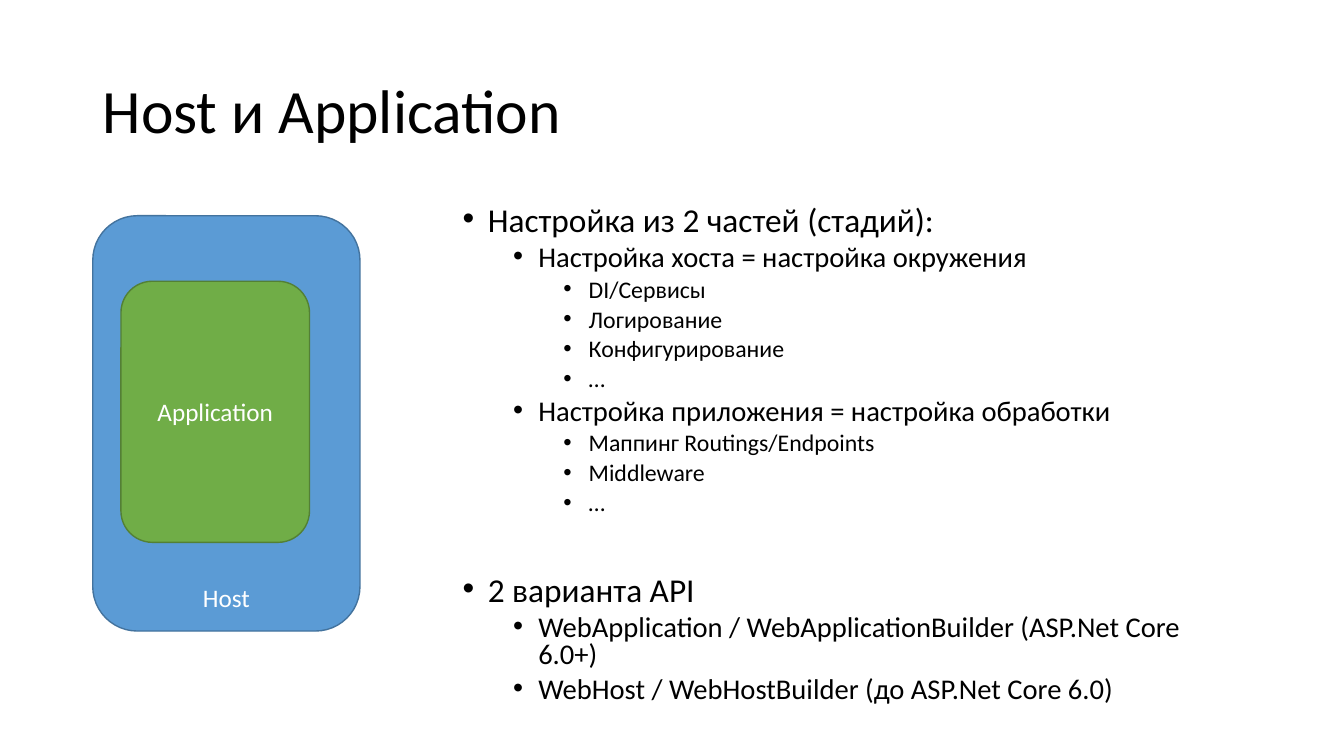
from lxml import etree
from pptx import Presentation
from pptx.dml.color import RGBColor
from pptx.enum import shapes, text
from pptx.oxml import ns
from pptx.util import Inches, Pt

FONT = "Calibri"
BLACK = RGBColor(0x00, 0x00, 0x00)
WHITE = RGBColor(0xFF, 0xFF, 0xFF)
BLUE = RGBColor(0x5B, 0x9B, 0xD5)
DARK_BLUE = RGBColor(0x43, 0x73, 0x9E)
GREEN = RGBColor(0x70, 0xAD, 0x47)
DARK_GREEN = RGBColor(0x53, 0x80, 0x35)

LEVEL_SIZES = (23.8, 20.4, 17)
SECTION_GAP = 43

STAGES = [
    (0, "Настройка из 2 частей (стадий):"),
    (1, "Настройка хоста = настройка окружения"),
    (2, "DI/Сервисы"),
    (2, "Логирование"),
    (2, "Конфигурирование"),
    (2, "…"),
    (1, "Настройка приложения = настройка обработки"),
    (2, "Маппинг Routings/Endpoints"),
    (2, "Middleware"),
    (2, "…"),
]
API_VARIANTS = [
    (0, "2 варианта API"),
    (1, "WebApplication / WebApplicationBuilder (ASP.Net Core 6.0+)"),
    (1, "WebHost / WebHostBuilder (до ASP.Net Core 6.0)"),
]


def set_font(paragraph, size, color):
    paragraph.font.name = FONT
    paragraph.font.size = Pt(size)
    paragraph.font.color.rgb = color


def add_text_frame(slide, left, top, width, height, anchor):
    box = slide.shapes.add_textbox(
        Inches(left), Inches(top), Inches(width), Inches(height)
    )
    frame = box.text_frame
    frame.word_wrap = True
    frame.vertical_anchor = anchor
    return frame


def add_title(slide, title):
    frame = add_text_frame(slide, 0.92, 0.4, 11.5, 1.45, text.MSO_ANCHOR.MIDDLE)
    paragraph = frame.paragraphs[0]
    paragraph.text = title
    paragraph.line_spacing = 0.9
    set_font(paragraph, 44, BLACK)


def format_bullet(paragraph, level):
    paragraph.level = level
    paragraph.line_spacing = 0.8
    properties = paragraph._p.get_or_add_pPr()
    properties.set("marL", str(Inches(0.25 + 0.5 * level)))
    properties.set("indent", str(Inches(-0.25)))
    etree.SubElement(properties, ns.qn("a:buFont"), typeface="Arial")
    etree.SubElement(properties, ns.qn("a:buChar"), char="•")
    set_font(paragraph, LEVEL_SIZES[level], BLACK)


def add_outline(slide, sections):
    frame = add_text_frame(slide, 4.49, 2, 7.92, 4.76, text.MSO_ANCHOR.TOP)
    paragraph = frame.paragraphs[0]
    for section_index, section in enumerate(sections):
        for item_index, (level, item) in enumerate(section):
            if section_index or item_index:
                paragraph = frame.add_paragraph()
                paragraph.space_before = Pt(5 if item_index else SECTION_GAP)
            paragraph.text = item
            format_bullet(paragraph, level)


def add_block(slide, label, left, top, width, height, fill, line, anchor):
    shape = slide.shapes.add_shape(
        shapes.MSO_SHAPE.ROUNDED_RECTANGLE,
        Inches(left), Inches(top), Inches(width), Inches(height),
    )
    shape.shadow.inherit = False
    shape.fill.solid()
    shape.fill.fore_color.rgb = fill
    shape.line.color.rgb = line
    shape.line.width = Pt(1)
    frame = shape.text_frame
    frame.word_wrap = True
    frame.vertical_anchor = anchor
    paragraph = frame.paragraphs[0]
    paragraph.text = label
    paragraph.alignment = text.PP_ALIGN.CENTER
    set_font(paragraph, 18, WHITE)


def main():
    presentation = Presentation()
    presentation.slide_width = Inches(13.33)
    presentation.slide_height = Inches(7.5)
    slide = presentation.slides.add_slide(presentation.slide_layouts[6])
    add_title(slide, "Host и Application")
    add_outline(slide, [STAGES, API_VARIANTS])
    add_block(slide, "Host", 0.92, 2.14, 2.65, 4.12,
              BLUE, DARK_BLUE, text.MSO_ANCHOR.BOTTOM)
    add_block(slide, "Application", 1.2, 2.79, 1.87, 2.59,
              GREEN, DARK_GREEN, text.MSO_ANCHOR.MIDDLE)
    presentation.save("out.pptx")


if __name__ == "__main__":
    main()
